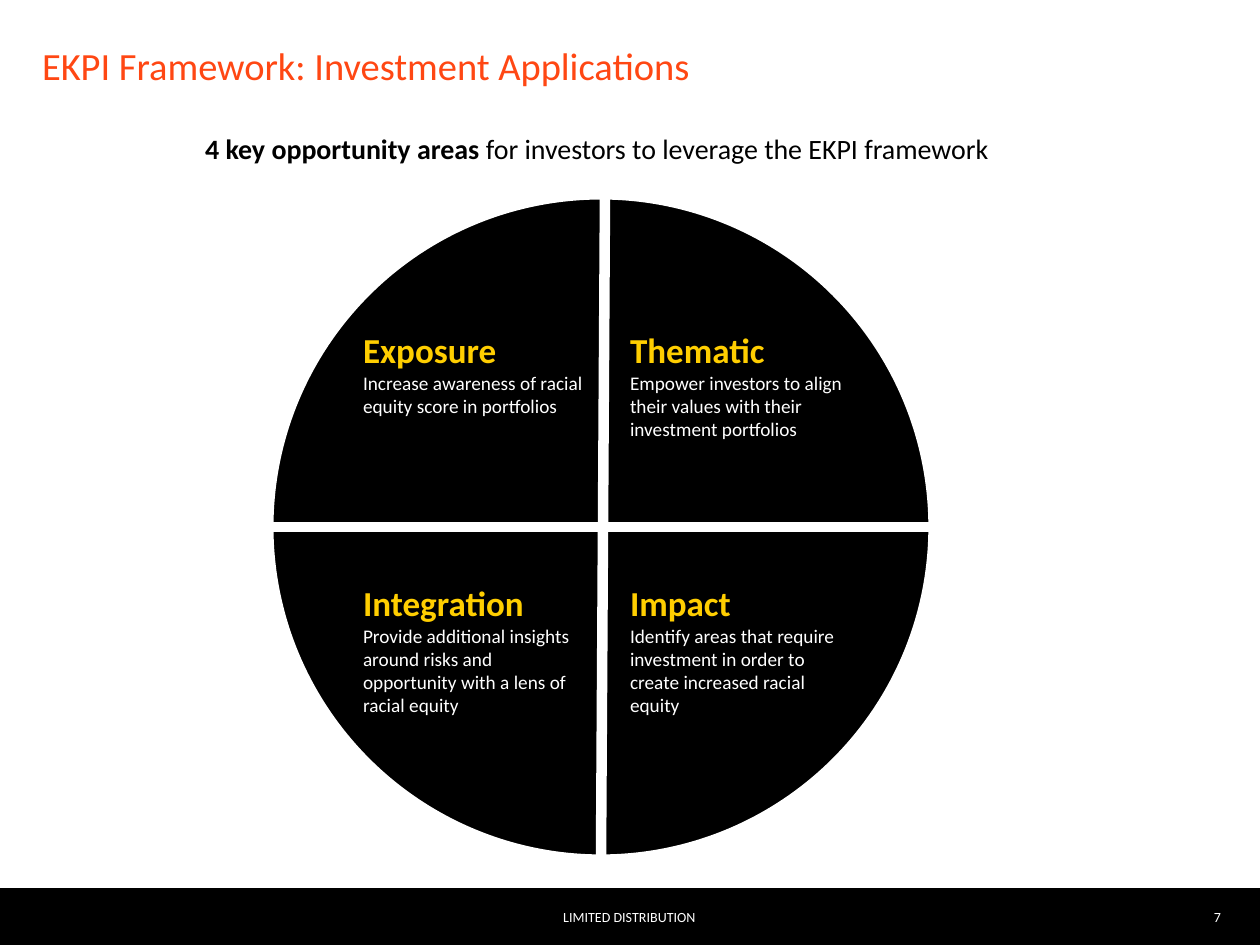
"""Build the EKPI investment applications slide."""
import pptx
import pptx.dml.color
import pptx.enum.shapes
import pptx.enum.text
import pptx.oxml
import pptx.oxml.ns
import pptx.util

PX = 914400 / 126
FONT = "Calibri"
COLORS = {"black": "000000", "white": "FFFFFF", "orange": "FF4713", "yellow": "FFCE00"}
ALIGN = pptx.enum.text.PP_ALIGN
ANCHOR = pptx.enum.text.MSO_ANCHOR
SHAPE = pptx.enum.shapes.MSO_SHAPE

TITLE = "EKPI Framework: Investment Applications"
LEAD = ("4 key opportunity areas ", "for investors to leverage the EKPI framework")
FOOTER = "LIMITED DISTRIBUTION"
PAGE = "7"
AREAS = [
    [("Exposure", "Increase awareness of racial equity score in portfolios", 223),
     ("Thematic", "Empower investors to align their values with their investment portfolios", 246)],
    [("Integration", "Provide additional insights around risks and opportunity with a lens of racial equity", 223),
     ("Impact", "Identify areas that require investment in order to create increased racial equity", 221)],
]
COLUMN_LEFTS = (363, 630)
ROW_TOPS = (329, 582)
AREA_HEIGHT = 150
WHEEL_LEFT, WHEEL_TOP, WHEEL_SIZE = 267, 193, 668
BAR_TOP, BAR_HEIGHT = 888, 57


def emu(px):
    return pptx.util.Emu(round(px * PX))


def rgb(name):
    return pptx.dml.color.RGBColor.from_string(COLORS[name])


def add_text(slide, paragraphs, box, align=ALIGN.LEFT, anchor=ANCHOR.TOP, inset=(0, 0), after=0):
    """Each paragraph is a list of (text, size, color, bold) runs."""
    frame = slide.shapes.add_textbox(*map(emu, box)).text_frame
    frame.word_wrap = True
    frame.vertical_anchor = anchor
    frame.margin_left = frame.margin_right = emu(inset[0])
    frame.margin_top = frame.margin_bottom = emu(inset[1])
    for index, runs in enumerate(paragraphs):
        paragraph = frame.add_paragraph() if index else frame.paragraphs[0]
        paragraph.alignment = align
        paragraph.space_after = pptx.util.Pt(after)
        for text, size, color, bold in runs:
            run = paragraph.add_run()
            run.text = text
            run.font.name = FONT
            run.font.size = pptx.util.Pt(size)
            run.font.bold = bold
            run.font.color.rgb = rgb(color)


def add_solid(slide, preset, box, outline=0):
    solid = slide.shapes.add_shape(preset, *map(emu, box))
    solid.shadow.inherit = False
    solid.fill.solid()
    solid.fill.fore_color.rgb = rgb("black")
    if outline:
        solid.line.color.rgb = rgb("white")
        solid.line.width = pptx.util.Pt(outline)
    else:
        solid.line.fill.background()


def add_divider(slide, ends):
    divider = slide.shapes.add_connector(
        pptx.enum.shapes.MSO_CONNECTOR.STRAIGHT, *map(emu, ends))
    divider.line.color.rgb = rgb("white")
    divider.line.width = pptx.util.Pt(6)
    properties = divider._element.spPr
    properties.append(pptx.oxml.parse_xml(
        "<a:effectLst %s/>" % pptx.oxml.ns.nsdecls("a")))


def main():
    deck = pptx.Presentation()
    deck.slide_width, deck.slide_height = emu(1260), emu(945)
    slide = deck.slides.add_slide(deck.slide_layouts[6])

    add_solid(slide, SHAPE.RECTANGLE, (0, BAR_TOP, 1260, BAR_HEIGHT))
    add_text(slide, [[(TITLE, 22, "orange", False)]], (42, 42, 1176, 82))
    add_text(slide, [[(PAGE, 8, "white", False)]], (1164, BAR_TOP, 57, BAR_HEIGHT),
             align=ALIGN.RIGHT, anchor=ANCHOR.MIDDLE)
    add_text(slide, [[(FOOTER, 8, "white", False)]], (220, BAR_TOP, 819, BAR_HEIGHT),
             align=ALIGN.CENTER, anchor=ANCHOR.MIDDLE, inset=(13, 6))
    add_text(slide, [[(LEAD[0], 16, "black", True), (LEAD[1], 16, "black", False)]],
             (42, 126, 1110, 47), align=ALIGN.CENTER, inset=(13, 6), after=6)

    right, bottom = WHEEL_LEFT + WHEEL_SIZE, WHEEL_TOP + WHEEL_SIZE
    middle = WHEEL_TOP + WHEEL_SIZE // 2
    add_solid(slide, SHAPE.OVAL, (WHEEL_LEFT, WHEEL_TOP, WHEEL_SIZE, WHEEL_SIZE), outline=7.5)
    add_divider(slide, (605, WHEEL_TOP, 601, bottom))
    add_divider(slide, (WHEEL_LEFT, middle, right, middle))

    for top, row in zip(ROW_TOPS, AREAS):
        for left, (heading, detail, width) in zip(COLUMN_LEFTS, row):
            add_text(slide, [[(heading, 20, "yellow", True)], [(detail, 11, "white", False)]],
                     (left, top, width, AREA_HEIGHT))

    deck.save("out.pptx")


if __name__ == "__main__":
    main()
